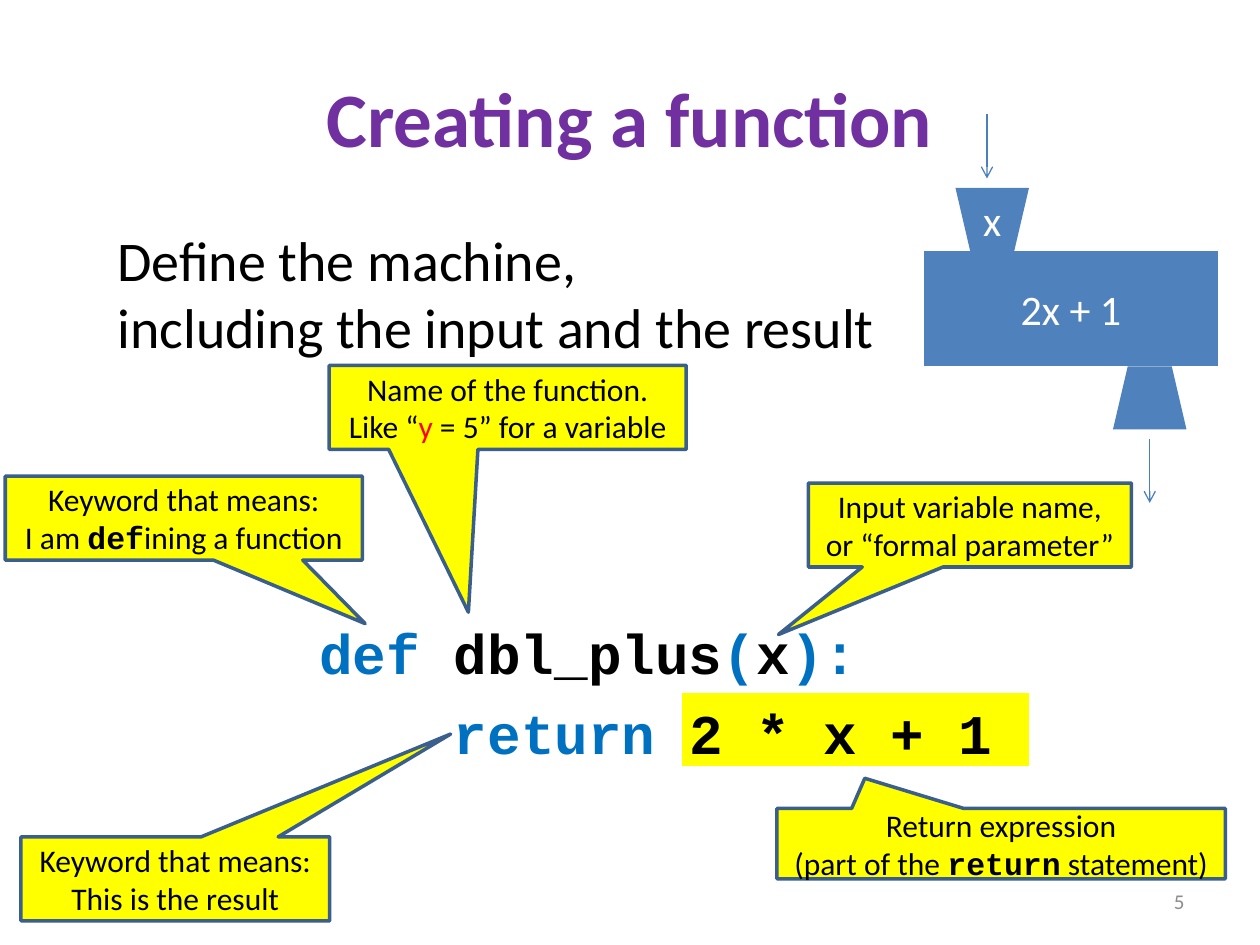
from lxml.etree import SubElement
from pptx import Presentation
from pptx.dml.color import RGBColor
from pptx.enum.shapes import MSO_CONNECTOR as Connector, MSO_SHAPE as Shape
from pptx.enum.text import MSO_ANCHOR as Anchor, PP_ALIGN as Align
from pptx.oxml.ns import qn
from pptx.util import Inches, Pt

COLORS = {
    "black": "000000", "white": "FFFFFF", "red": "FF0000", "gray": "8C8C8C",
    "title": "7030A0", "keyword": "0070C0", "yellow": "FFFF00",
    "outline": "3A5F8C", "machine": "4F81BD", "arrow": "4B7EBC",
}
COLUMNS, ROWS = 120, 90  # twelve grid cells to the inch
MONO = {"font": "Courier New", "bold": True}


def grid(*cells):
    """Turn grid cells into slide lengths."""
    return [Inches(cell / 12) for cell in cells]


def color(name):
    """Look up a named colour."""
    return RGBColor.from_string(COLORS[name])


def add_run(paragraph, text, size, ink="black", font="Calibri", bold=False):
    """Append one styled run."""
    run = paragraph.add_run()
    run.text = text
    run.font.size = Pt(size)
    run.font.name = font
    run.font.bold = bold
    run.font.color.rgb = color(ink)


def write(shape, lines, size, align=Align.CENTER, anchor=Anchor.MIDDLE, **style):
    """Fill a shape with one paragraph; each line is a list of (text, style) runs."""
    frame = shape.text_frame
    frame.word_wrap = True
    frame.vertical_anchor = anchor
    paragraph = frame.paragraphs[0]
    paragraph.alignment = align
    for index, line in enumerate(lines):
        if index:
            paragraph.add_line_break()
        for text, changes in line:
            add_run(paragraph, text, size, **{**style, **changes})


def plain(*texts):
    """Make lines of one unstyled run each."""
    return [[(text, {})] for text in texts]


def add_box(slide, kind, box, fill):
    """Add a flat preset shape without an outline."""
    shape = slide.shapes.add_shape(kind, *grid(*box))
    shape.shadow.inherit = False
    shape.fill.solid()
    shape.fill.fore_color.rgb = color(fill)
    shape.line.fill.background()
    return shape


def add_text(slide, box, lines, size, **style):
    """Add a text box."""
    write(slide.shapes.add_textbox(*grid(*box)), lines, size, **style)


def add_callout(slide, box, tip, lines):
    """Add a yellow callout whose tip is given as shares of its box."""
    callout = add_box(slide, Shape.RECTANGULAR_CALLOUT, box, "yellow")
    callout.line.color.rgb = color("outline")
    callout.line.width = Pt(2)
    callout.adjustments[0], callout.adjustments[1] = tip
    write(callout, lines, 18)


def add_down_arrow(slide, x, y, length):
    """Add a thin arrow that points down."""
    arrow = slide.shapes.add_connector(Connector.STRAIGHT, *grid(x, y, x, y + length))
    arrow.line.color.rgb = color("arrow")
    arrow.line.width = Pt(0.75)
    SubElement(arrow.line._get_or_add_ln(), qn("a:tailEnd"), type="arrow")
    SubElement(arrow._element.spPr, qn("a:effectLst"))


def add_machine(slide, left, top, width):
    """Draw the function machine: arrow, hopper, body, spout, arrow."""
    arrow, gap, funnel_width, funnel_height, body_height = 6.1, 0.9, 7, 6, 11
    hopper_top = top + arrow + gap
    body_top = hopper_top + funnel_height
    spout_top = body_top + body_height
    body = add_box(slide, Shape.FLOWCHART_PROCESS,
                   (left, body_top, width, body_height), "machine")
    write(body, plain("2x + 1"), 24, ink="white")
    funnels = [add_box(slide, Shape.FLOWCHART_MANUAL_OPERATION,
                       (x, y, funnel_width, funnel_height), "machine")
               for x, y in ((left + 3, hopper_top), (left + 18, spout_top))]
    write(funnels[0], plain("x"), 24, ink="white")
    funnels[1].rotation = 180
    add_down_arrow(slide, left + 6, top, arrow)
    add_down_arrow(slide, left + 21.5, spout_top + funnel_height + gap, arrow)


def add_code(slide, left, top, width, height):
    """Write the function definition, with its result highlighted."""
    add_box(slide, Shape.FLOWCHART_PROCESS, (left + 35.8, top + 7.7, 33, 7), "yellow")
    frame = slide.shapes.add_textbox(*grid(left, top, width, height)).text_frame
    frame.word_wrap = True
    code = [
        [("def ", "keyword"), ("dbl_plus", "black"), ("(", "keyword"),
         ("x", "black"), ("):", "keyword")],
        [("return ", "keyword"), ("2 * x + 1", "black")],
    ]
    for level, line in enumerate(code):
        paragraph = frame.add_paragraph() if level else frame.paragraphs[0]
        if level:
            paragraph.space_before = Pt(7.5)
            paragraph._p.get_or_add_pPr().set("marL", str(Inches(1.07)))
        for text, ink in line:
            add_run(paragraph, text, 32, ink, **MONO)


CALLOUTS = [
    ((0.5, 45.35, 34, 8), (0.508, 1.256),
     [[("Keyword that means:", {})],
      [("I am ", {}), ("def", MONO), ("ining a function", {})]]),
    ((2, 79.7, 29.4, 8), (0.892, -1.725),
     plain("Keyword that means:", "This is the result")),
    ((77, 46, 30.75, 8), (-0.593, 1.304),
     plain("Input variable name,", "or “formal parameter”")),
    ((31.35, 34.8, 34, 8), (-0.11, 2.439),
     [[("Name of the function.", {})],
      [("Like “", {}), ("y", {"ink": "red"}), (" = 5” for a variable", {})]]),
    ((74, 77, 42.7, 6.7), (-0.304, -0.929),
     [[("Return expression", {})],
      [("(part of the ", {}), ("return", MONO), (" statement)", {})]]),
]


def build():
    """Build and save the slide."""
    presentation = Presentation()
    presentation.slide_width, presentation.slide_height = grid(COLUMNS, ROWS)
    slide = presentation.slides.add_slide(presentation.slide_layouts[6])
    add_code(slide, 29.2, 58.3, 74.8, 16)
    add_text(slide, (10, 20.9, 78, 14), 
             plain("Define the machine,", "including the input and the result"),
             32, align=Align.LEFT, anchor=Anchor.TOP)
    add_text(slide, (6, 3.6, 108, 15), plain("Creating a function"),
             44, ink="title", bold=True)
    add_machine(slide, 88, 10.9, 28)
    for box, tip, lines in CALLOUTS:
        add_callout(slide, box, tip, lines)
    add_text(slide, (86, 83.4, 28, 4.8), plain("5"), 12, align=Align.RIGHT, ink="gray")
    presentation.save("out.pptx")


build()
